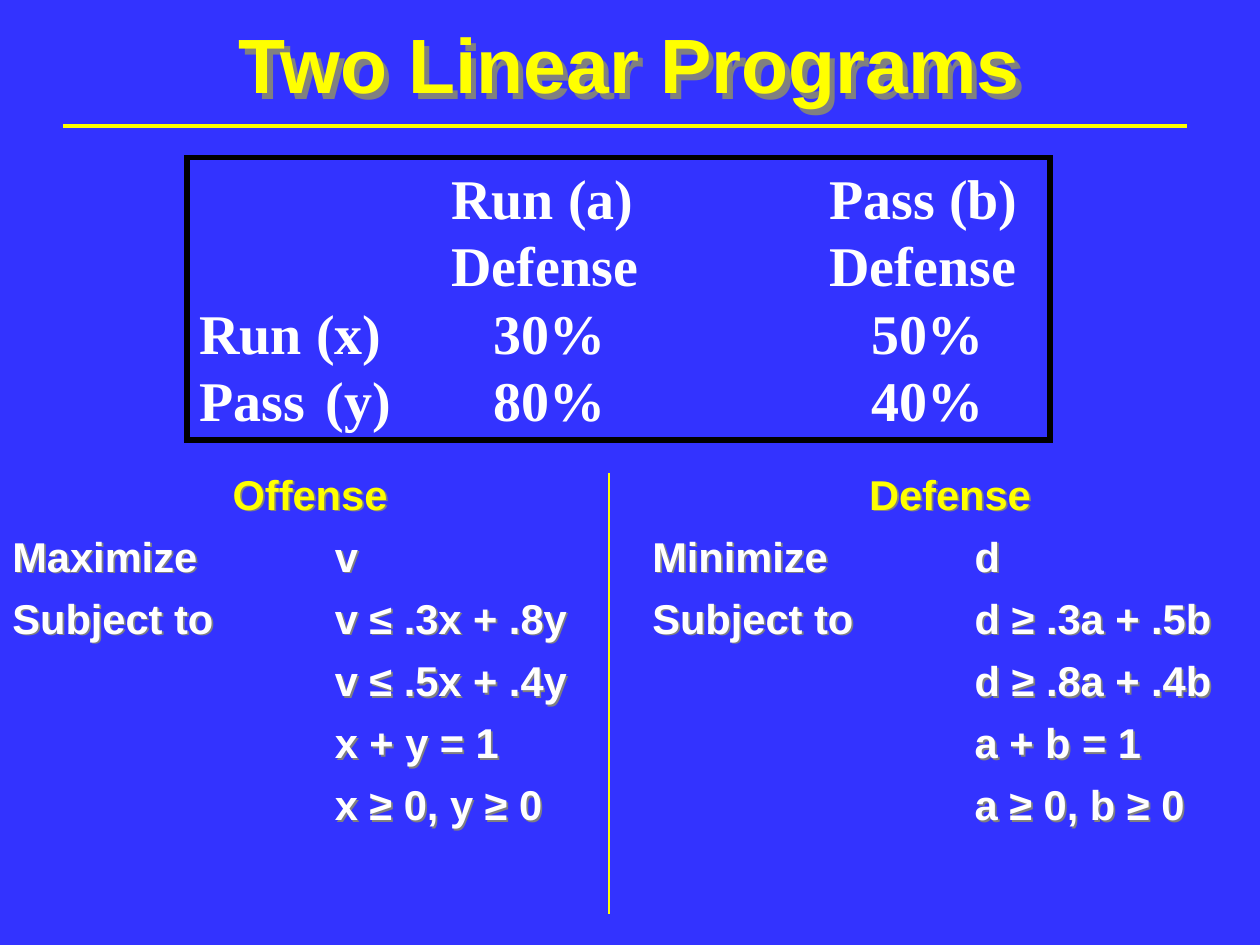
import pptx
import pptx.dml.color
import pptx.enum.shapes
import pptx.enum.text
import pptx.util
from lxml import etree
from pptx.oxml.ns import qn
from pptx.util import Cm, Pt

BLUE = pptx.dml.color.RGBColor(0x33, 0x33, 0xFF)
YELLOW = pptx.dml.color.RGBColor(0xFF, 0xFF, 0x00)
WHITE = pptx.dml.color.RGBColor(0xFF, 0xFF, 0xFF)
BLACK = pptx.dml.color.RGBColor(0x00, 0x00, 0x00)
GRAY = pptx.dml.color.RGBColor(0x80, 0x80, 0x80)
ALIGN = pptx.enum.text.PP_ALIGN
ANCHOR = pptx.enum.text.MSO_ANCHOR

SLIDE_WIDTH, SLIDE_HEIGHT = 25.4, 19.05
PROGRAM_WIDTH = 12.5

# Tab stops in cm from the left edge of the text.
HEADER_STOPS = (5.08, 12.7)
RATE_STOPS = (2.54, 5.92, 13.54)
PROGRAM_STOPS = (6.5,)

PAYOFF_ROWS = [
    ("\tRun (a)\tPass (b)", HEADER_STOPS),
    ("\tDefense\tDefense", HEADER_STOPS),
    ("Run (x)\t30%\t50%", RATE_STOPS),
    ("Pass\t(y)\t80%\t40%", RATE_STOPS),
]

# Heading, goal, variable to optimize, constraints.
PROGRAMS = [
    ("Offense", "Maximize", "v",
     ["v ≤ .3x + .8y", "v ≤ .5x + .4y", "x + y = 1", "x ≥ 0, y ≥ 0"]),
    ("Defense", "Minimize", "d",
     ["d ≥ .3a + .5b", "d ≥ .8a + .4b", "a + b = 1", "a ≥ 0, b ≥ 0"]),
]


class SlideBuilder:
    heading_font = "Arial"
    table_font = "Times New Roman"
    title_size, table_size, program_size = 44, 32, 23.8
    table_pitch, program_pitch, program_gap = 38.5, 28.5, 7

    def __init__(self, slide):
        self.slide = slide

    def background(self, color):
        fill = self.slide.background.fill
        fill.solid()
        fill.fore_color.rgb = color

    def text_box(self, left, top, width, height, shadow_offset):
        box = self.slide.shapes.add_textbox(Cm(left), Cm(top), Cm(width), Cm(height))
        box.text_frame.word_wrap = True
        self.text_shadow(box, shadow_offset)
        return box

    def text_shadow(self, box, offset):
        """Shadow down and to the right; with no fill it falls from the text."""
        box.fill.background()
        effects = etree.SubElement(box._element.spPr, qn("a:effectLst"))
        shadow = etree.SubElement(effects, qn("a:outerShdw"),
                                  dist=str(int(Pt(offset))), dir="2700000")
        etree.SubElement(shadow, qn("a:srgbClr"), val=str(GRAY))

    def frame(self, left, top, width, height):
        box = self.slide.shapes.add_shape(
            pptx.enum.shapes.MSO_SHAPE.RECTANGLE, Cm(left), Cm(top), Cm(width), Cm(height))
        box.shadow.inherit = False
        box.fill.background()
        box.line.color.rgb = BLACK
        box.line.width = Pt(3)
        etree.SubElement(box.line._get_or_add_ln(), qn("a:miter"), lim="800000")
        box.text_frame.vertical_anchor = ANCHOR.TOP
        return box

    def line(self, start, end, width):
        rule = self.slide.shapes.add_connector(
            pptx.enum.shapes.MSO_CONNECTOR.STRAIGHT, *map(Cm, start + end))
        rule.line.color.rgb = YELLOW
        rule.line.width = Pt(width)
        etree.SubElement(rule._element.spPr, qn("a:effectLst"))

    def paragraph(self, box, text, size, color, font, align=ALIGN.LEFT,
                  stops=(), pitch=None, before=None):
        """Fill the empty first paragraph of the box, or append a new one."""
        para = box.text_frame.paragraphs[0]
        if para.runs:
            para = box.text_frame.add_paragraph()
        para.alignment = align
        if pitch:
            para.line_spacing = Pt(pitch)
        if before:
            para.space_before = Pt(before)
        if stops:
            tabs = etree.SubElement(para._p.get_or_add_pPr(), qn("a:tabLst"))
            for stop in stops:
                etree.SubElement(tabs, qn("a:tab"), pos=str(int(Cm(stop))), algn="l")
        span = para.add_run()
        span.text = text
        span.font.name = font
        span.font.size = Pt(size)
        span.font.bold = True
        span.font.color.rgb = color

    def title(self, text):
        box = self.text_box(1.9, 0.22, 21.6, 2.1, shadow_offset=4.24)
        box.text_frame.vertical_anchor = ANCHOR.MIDDLE
        self.paragraph(box, text, self.title_size, YELLOW, self.heading_font, ALIGN.CENTER)

    def payoff_table(self, rows):
        box = self.frame(3.77, 3.17, 17.4, 5.7)
        for text, stops in rows:
            self.paragraph(box, text, self.table_size, WHITE, self.table_font,
                           stops=stops, pitch=self.table_pitch)

    def program(self, left, heading, goal, variable, constraints):
        box = self.text_box(left, 9.32, PROGRAM_WIDTH, 7.62, shadow_offset=1.41)
        self.paragraph(box, heading, self.program_size, YELLOW, self.heading_font,
                       ALIGN.CENTER, pitch=self.program_pitch)
        labels = [goal, "Subject to"] + [""] * (len(constraints) - 1)
        for label, formula in zip(labels, [variable] + constraints):
            self.paragraph(box, f"{label}\t{formula}", self.program_size, WHITE,
                           self.heading_font, stops=PROGRAM_STOPS,
                           pitch=self.program_pitch, before=self.program_gap)


def main():
    deck = pptx.Presentation()
    deck.slide_width, deck.slide_height = Cm(SLIDE_WIDTH), Cm(SLIDE_HEIGHT)
    page = SlideBuilder(deck.slides.add_slide(deck.slide_layouts[6]))
    page.background(BLUE)
    page.title("Two Linear Programs")
    # The first program touches the left slide edge, the second the right one.
    for left, program in zip((0, SLIDE_WIDTH - PROGRAM_WIDTH), PROGRAMS):
        page.program(left, *program)
    page.payoff_table(PAYOFF_ROWS)
    page.line((1.27, 2.54), (23.92, 2.54), width=2.25)
    page.line((12.28, 9.53), (12.28, 18.42), width=1)
    deck.save("out.pptx")


if __name__ == "__main__":
    main()
